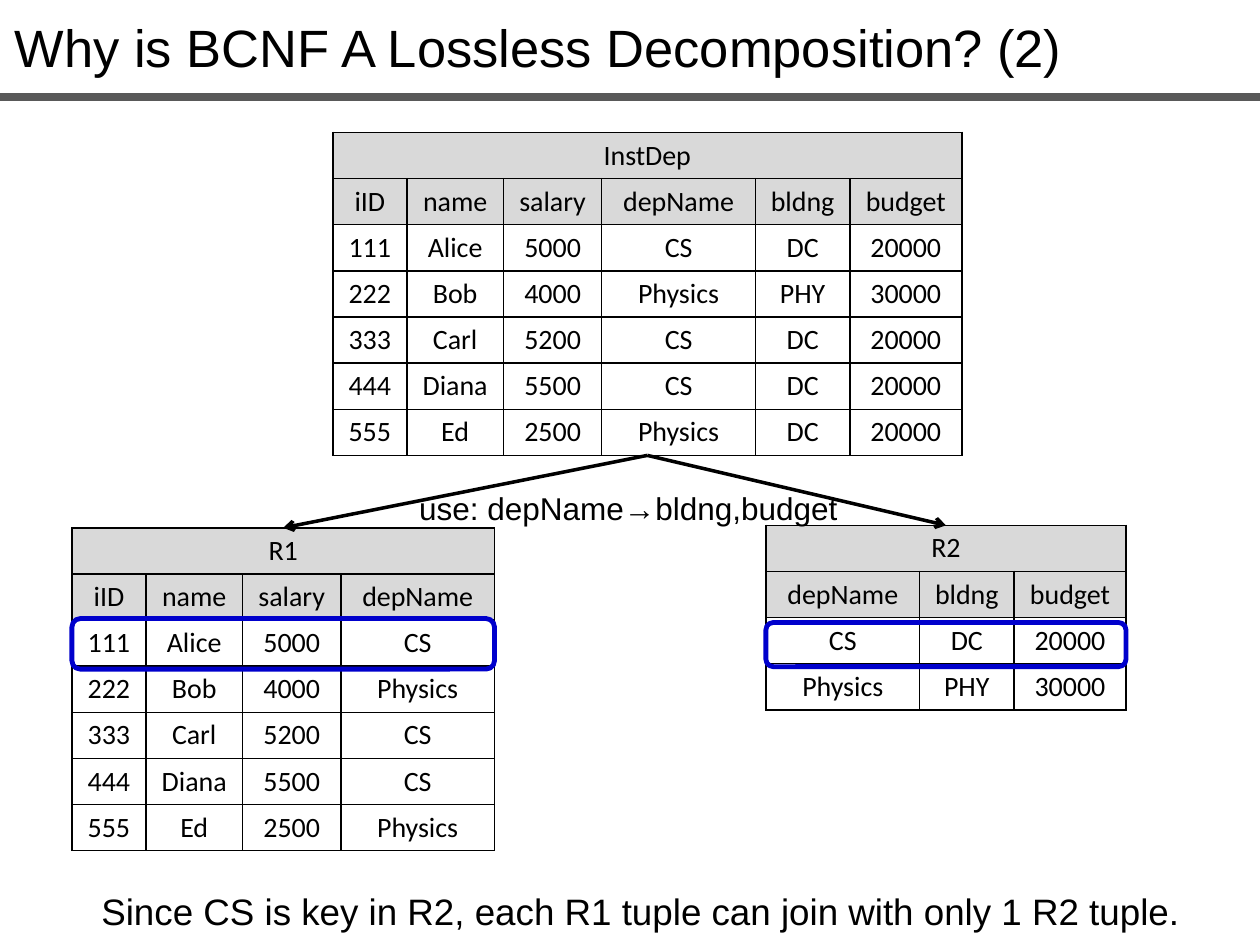
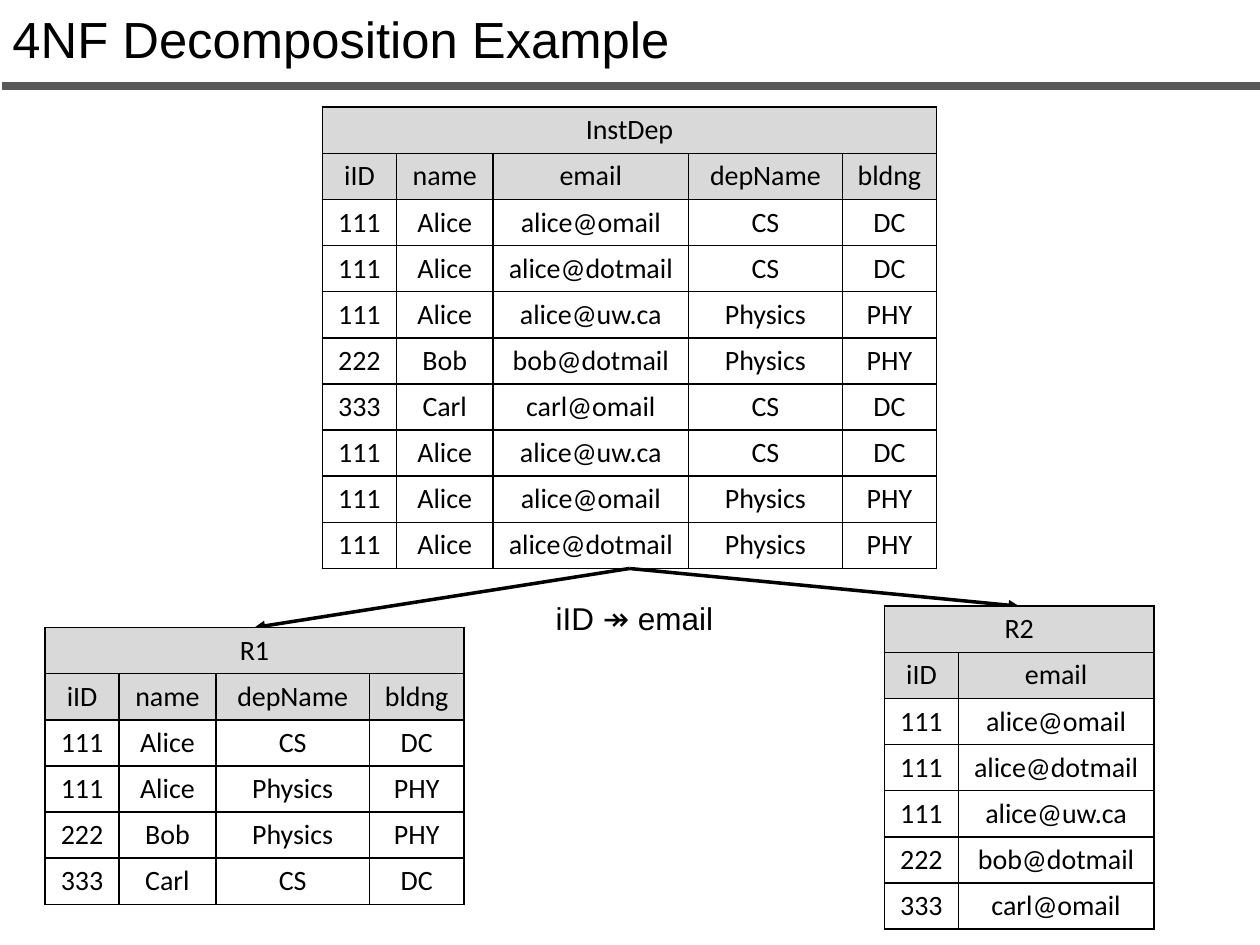
"""Build two slides that show how a relation is decomposed into two smaller ones."""
from dataclasses import dataclass
from typing import Optional

import pptx
import pptx.dml.color
import pptx.enum.shapes
import pptx.enum.text
import pptx.oxml
import pptx.oxml.ns
import pptx.util

TITLE_ONLY = 5


@dataclass(frozen=True)
class Theme:
    ink: str = "000000"
    rule: str = "595959"
    header: str = "D9D9D9"
    highlight: str = "0000CC"
    text_font: str = "Arial"
    table_font: str = "Calibri"
    bcnf_title_size: int = 30
    fourth_title_size: int = 29
    cell_size: int = 16
    label_size: int = 18
    conclusion_size: int = 21
    border_width: float = 1
    arrow_width: float = 2
    highlight_width: float = 2.75
    rule_width: float = 4.5
    row_height: float = 0.93


THEME = Theme()
COLUMN_WIDTHS = {"iID": 1.49, "name": 1.95, "salary": 1.98, "email": 3.94,
                 "depName": 3.1, "bldng": 1.9, "budget": 2.26}


@dataclass(frozen=True)
class Box:
    left: float
    top: float
    width: float
    height: float

    def lengths(self) -> list:
        return [pptx.util.Cm(n) for n in (self.left, self.top, self.width, self.height)]


@dataclass(frozen=True)
class Relation:
    name: str
    columns: list[str]
    tuples: list[tuple]

    def project(self, name: str, columns: list[str], key: list[str]) -> "Relation":
        kept = {}
        for values in self.tuples:
            record = dict(zip(self.columns, values))
            kept.setdefault(tuple(record[c] for c in key), tuple(record[c] for c in columns))
        return Relation(name, columns, list(kept.values()))


@dataclass(frozen=True)
class PlacedRelation:
    relation: Relation
    left: float
    top: float
    highlight_top: Optional[float] = None
    highlight_height: float = 0

    def box(self) -> Box:
        width = sum(COLUMN_WIDTHS[c] for c in self.relation.columns)
        return Box(self.left, self.top, width, THEME.row_height * (len(self.relation.tuples) + 2))


@dataclass(frozen=True)
class Caption:
    text: str
    box: Box
    size: int
    spacing: float = 1
    align: pptx.enum.text.PP_ALIGN = pptx.enum.text.PP_ALIGN.LEFT
    wrap: bool = False
    margin_left: float = 0.25


@dataclass(frozen=True)
class Decomposition:
    title: Caption
    rule_left: float
    rule_top: float
    source: PlacedRelation
    results: list[PlacedRelation]
    arrowhead: str
    arrows_on_top: bool
    captions: list[Caption]


def rgb(color: str) -> pptx.dml.color.RGBColor:
    return pptx.dml.color.RGBColor.from_string(color)


def add_run(paragraph, text: str, font: str, size: float) -> None:
    run = paragraph.add_run()
    run.text = text
    run.font.name = font
    run.font.size = pptx.util.Pt(size)
    run.font.color.rgb = rgb(THEME.ink)


def write_caption(shape, caption: Caption) -> None:
    frame = shape.text_frame
    frame.word_wrap = caption.wrap
    frame.auto_size = pptx.enum.text.MSO_AUTO_SIZE.SHAPE_TO_FIT_TEXT
    frame.vertical_anchor = pptx.enum.text.MSO_ANCHOR.TOP
    frame.margin_left = pptx.util.Cm(caption.margin_left)
    paragraph = frame.paragraphs[0]
    paragraph.alignment = caption.align
    paragraph.line_spacing = caption.spacing
    add_run(paragraph, caption.text, THEME.text_font, caption.size)


def add_title(slide, caption: Caption) -> None:
    title = slide.shapes.title
    title.left, title.top, title.width, title.height = caption.box.lengths()
    write_caption(title, caption)


def add_line(slide, start: tuple, end: tuple, color: str, width: float, head: str = "") -> None:
    line = slide.shapes.add_connector(
        pptx.enum.shapes.MSO_CONNECTOR.STRAIGHT, *(pptx.util.Cm(n) for n in start + end))
    line.line.color.rgb = rgb(color)
    line.line.width = pptx.util.Pt(width)
    if head:
        tail = pptx.oxml.parse_xml(f'<a:tailEnd {pptx.oxml.ns.nsdecls("a")} type="{head}"/>')
        line.line._get_or_add_ln().append(tail)
    line._element.spPr.append(pptx.oxml.parse_xml(f'<a:effectLst {pptx.oxml.ns.nsdecls("a")}/>'))


def add_borders(cell) -> None:
    properties = cell._tc.get_or_add_tcPr()
    for side in "LRTB":
        properties.append(pptx.oxml.parse_xml(
            f'<a:ln{side} {pptx.oxml.ns.nsdecls("a")} w="{int(pptx.util.Pt(THEME.border_width))}">'
            f'<a:solidFill><a:srgbClr val="{THEME.ink}"/></a:solidFill></a:ln{side}>'))


def format_cell(cell, text: str, is_header: bool) -> None:
    add_borders(cell)
    if is_header:
        cell.fill.solid()
        cell.fill.fore_color.rgb = rgb(THEME.header)
    else:
        cell.fill.background()
    cell.margin_top = cell.margin_bottom = pptx.util.Cm(0)
    cell.margin_left = cell.margin_right = pptx.util.Cm(0.1)
    cell.vertical_anchor = pptx.enum.text.MSO_ANCHOR.MIDDLE
    if text:
        paragraph = cell.text_frame.paragraphs[0]
        paragraph.alignment = pptx.enum.text.PP_ALIGN.CENTER
        add_run(paragraph, text, THEME.table_font, THEME.cell_size)


def add_relation(slide, placed: PlacedRelation) -> None:
    relation = placed.relation
    name_row = [relation.name] + [""] * (len(relation.columns) - 1)
    rows = [name_row, relation.columns, *relation.tuples]
    table = slide.shapes.add_table(len(rows), len(relation.columns), *placed.box().lengths()).table
    table.first_row = table.horz_banding = False
    for column, attribute in zip(table.columns, relation.columns):
        column.width = pptx.util.Cm(COLUMN_WIDTHS[attribute])
    for r, values in enumerate(rows):
        table.rows[r].height = pptx.util.Cm(THEME.row_height)
        for c, value in enumerate(values):
            format_cell(table.cell(r, c), value, is_header=r < 2)
    table.cell(0, 0).merge(table.cell(0, len(relation.columns) - 1))


def add_highlight(slide, placed: PlacedRelation) -> None:
    box = Box(placed.left, placed.highlight_top, placed.box().width, placed.highlight_height)
    outline = slide.shapes.add_shape(
        pptx.enum.shapes.MSO_SHAPE.ROUNDED_RECTANGLE, *box.lengths())
    outline.shadow.inherit = False
    outline.fill.background()
    outline.line.color.rgb = rgb(THEME.highlight)
    outline.line.width = pptx.util.Pt(THEME.highlight_width)


def add_arrows(slide, content: Decomposition) -> None:
    source = content.source.box()
    start = (source.left + source.width / 2, source.top + source.height)
    for result in content.results:
        end = (result.left + result.box().width / 2, result.top)
        add_line(slide, start, end, THEME.ink, THEME.arrow_width, content.arrowhead)


def add_decomposition(deck, content: Decomposition) -> None:
    slide = deck.slides.add_slide(deck.slide_layouts[TITLE_ONLY])
    add_line(slide, (content.rule_left, content.rule_top), (25.4, content.rule_top),
             THEME.rule, THEME.rule_width)
    add_title(slide, content.title)
    add_relation(slide, content.source)
    if not content.arrows_on_top:
        add_arrows(slide, content)
    for result in content.results:
        add_relation(slide, result)
    if content.arrows_on_top:
        add_arrows(slide, content)
    for caption in content.captions:
        write_caption(slide.shapes.add_textbox(*caption.box.lengths()), caption)
    for result in content.results:
        if result.highlight_top is not None:
            add_highlight(slide, result)


def bcnf_decomposition() -> Decomposition:
    inst_dep = Relation("InstDep", ["iID", "name", "salary", "depName", "bldng", "budget"], [
        ("111", "Alice", "5000", "CS", "DC", "20000"),
        ("222", "Bob", "4000", "Physics", "PHY", "30000"),
        ("333", "Carl", "5200", "CS", "DC", "20000"),
        ("444", "Diana", "5500", "CS", "DC", "20000"),
        ("555", "Ed", "2500", "Physics", "DC", "20000")])
    instructors = inst_dep.project("R1", ["iID", "name", "salary", "depName"], ["iID"])
    departments = inst_dep.project("R2", ["depName", "bldng", "budget"], ["depName"])
    return Decomposition(
        title=Caption("Why is BCNF A Lossless Decomposition? (2)",
                      Box(0.05, 0.18, 25.35, 1.55), THEME.bcnf_title_size, wrap=True),
        rule_left=0, rule_top=1.96,
        source=PlacedRelation(inst_dep, 6.71, 2.67),
        results=[PlacedRelation(instructors, 1.45, 10.64, 12.47, 1.02),
                 PlacedRelation(departments, 15.44, 10.59, 12.55, 0.89)],
        arrowhead="arrow", arrows_on_top=True,
        captions=[
            Caption("use: depName→bldng,budget", Box(8.2, 9.73, 9.02, 1.02), THEME.label_size),
            Caption("Since CS is key in R2, each R1 tuple can join with only 1 R2 tuple.",
                    Box(0.43, 17.35, 24.97, 1.45), THEME.conclusion_size,
                    spacing=1.5, align=pptx.enum.text.PP_ALIGN.CENTER, wrap=True)])


def fourth_normal_form() -> Decomposition:
    inst_dep = Relation("InstDep", ["iID", "name", "email", "depName", "bldng"], [
        ("111", "Alice", "alice@omail", "CS", "DC"),
        ("111", "Alice", "alice@dotmail", "CS", "DC"),
        ("111", "Alice", "alice@uw.ca", "Physics", "PHY"),
        ("222", "Bob", "bob@dotmail", "Physics", "PHY"),
        ("333", "Carl", "carl@omail", "CS", "DC"),
        ("111", "Alice", "alice@uw.ca", "CS", "DC"),
        ("111", "Alice", "alice@omail", "Physics", "PHY"),
        ("111", "Alice", "alice@dotmail", "Physics", "PHY")])
    instructors = inst_dep.project("R1", ["iID", "name", "depName", "bldng"], ["iID", "depName"])
    emails = inst_dep.project("R2", ["iID", "email"], ["iID", "email"])
    return Decomposition(
        title=Caption("4NF Decomposition Example", Box(0, 0.03, 25.35, 1.5),
                      THEME.fourth_title_size, wrap=True),
        rule_left=0.05, rule_top=1.73,
        source=PlacedRelation(inst_dep, 6.5, 2.16),
        results=[PlacedRelation(instructors, 0.91, 12.65), PlacedRelation(emails, 17.83, 12.22)],
        arrowhead="triangle", arrows_on_top=False,
        captions=[Caption("iID ↠ email", Box(9.68, 11.56, 5.08, 1.3), THEME.label_size,
                          spacing=1.5, margin_left=1.52)])


def main() -> None:
    deck = pptx.Presentation()
    deck.slide_width, deck.slide_height = pptx.util.Cm(25.4), pptx.util.Cm(19.05)
    for content in (bcnf_decomposition(), fourth_normal_form()):
        add_decomposition(deck, content)
    deck.save("out.pptx")


if __name__ == "__main__":
    main()
